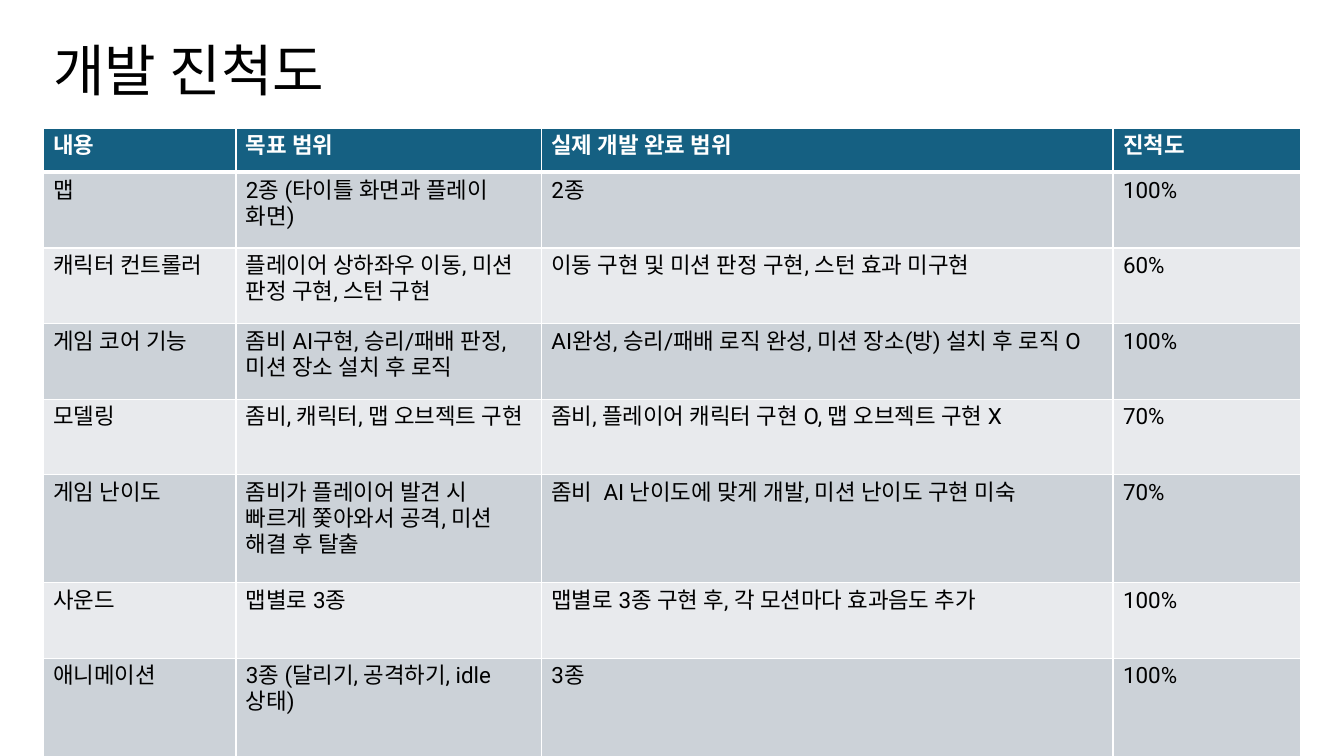
from lxml import etree
from pptx import Presentation
from pptx.dml.color import RGBColor
from pptx.enum.lang import MSO_LANGUAGE_ID as Language
from pptx.enum.text import MSO_ANCHOR as Anchor
from pptx.oxml.ns import qn
from pptx.util import Inches, Pt

# Content
TITLE = "개발 진척도"
HEADER = ("내용", "목표 범위", "실제 개발 완료 범위", "진척도")
PROGRESS = [
    ("맵", "2종 (타이틀 화면과 플레이 화면)", "2종", "100%"),
    ("캐릭터 컨트롤러", "플레이어 상하좌우 이동, 미션 판정 구현, 스턴 구현",
     "이동 구현 및 미션 판정 구현, 스턴 효과 미구현", "60%"),
    ("게임 코어 기능", "좀비 AI구현, 승리/패배 판정, 미션 장소 설치 후 로직",
     "AI완성, 승리/패배 로직 완성, 미션 장소(방) 설치 후 로직 O", "100%"),
    ("모델링", "좀비, 캐릭터, 맵 오브젝트 구현",
     "좀비, 플레이어 캐릭터 구현 O, 맵 오브젝트 구현 X", "70%"),
    ("게임 난이도", "좀비가 플레이어 발견 시 빠르게 쫓아와서 공격, 미션 해결 후 탈출",
     "좀비  AI 난이도에 맞게 개발, 미션 난이도 구현 미숙", "70%"),
    ("사운드", "맵별로 3종", "맵별로 3종 구현 후, 각 모션마다 효과음도 추가", "100%"),
    ("애니메이션", "3종 (달리기, 공격하기, idle상태)", "3종", "100%"),
]

# Format
COLORS = {"header": "156082", "odd": "CCD2D8", "even": "E8EAED",
          "light": "FFFFFF", "dark": "000000"}
FONT = "Roboto"
LEFT, TABLE_TOP = 0.43, 1.27
COLUMNS = (1.91, 3.03, 5.67, 1.86)
ROWS = (0.44, 0.75, 0.75, 0.75, 0.75, 1.07, 0.75, 0.98)
BORDERS = ("lnL", "lnR", "lnT", "lnB")
TITLE_STYLE = {"size": Pt(40), "bold": False}
HEADER_STYLE = {"size": Pt(16), "bold": True}
BODY_STYLE = {"size": Pt(16), "bold": False}


def write(frame, text, style, color):
    para = frame.paragraphs[0]
    span = para.add_run()
    span.text = text
    settings = {"name": FONT, "language_id": Language.KOREAN, **style}
    for name, value in settings.items():
        setattr(span.font, name, value)
    span.font.color.rgb = RGBColor.from_string(COLORS[color])
    latin = span.font._element.find(qn("a:latin"))
    latin.addnext(latin.makeelement(qn("a:ea"), {"typeface": FONT}))
    return para


def draw_borders(cell, widths):
    properties = cell._tc.get_or_add_tcPr()
    for index, (side, width) in enumerate(zip(BORDERS, widths)):
        line = etree.Element(qn(f"a:{side}"), w=str(Pt(width)))
        fill = etree.SubElement(line, qn("a:solidFill"))
        etree.SubElement(fill, qn("a:srgbClr"), val=COLORS["light"])
        properties.insert(index, line)


deck = Presentation()
deck.slide_width, deck.slide_height = Inches(13.33), Inches(7.5)
page = deck.slides.add_slide(deck.slide_layouts[6])

# Title
box = page.shapes.add_textbox(Inches(LEFT), 0, Inches(11.5), Inches(1.45))
box.text_frame.word_wrap = True
box.text_frame.vertical_anchor = Anchor.MIDDLE
write(box.text_frame, TITLE, TITLE_STYLE, "dark").line_spacing = 0.9

# Progress table
records = [HEADER, *PROGRESS]
table = page.shapes.add_table(
    len(records), len(COLUMNS), Inches(LEFT), Inches(TABLE_TOP),
    Inches(sum(COLUMNS)), Inches(sum(ROWS))).table
for column, width in zip(table.columns, COLUMNS):
    column.width = Inches(width)
for row, height in zip(table.rows, ROWS):
    row.height = Inches(height)

for number, record in enumerate(records):
    is_header = number == 0
    band = "header" if is_header else ("even", "odd")[number % 2]
    style = HEADER_STYLE if is_header else BODY_STYLE
    top, bottom = 3 if number == 1 else 1, 3 if is_header else 1
    for position, text in enumerate(record):
        cell = table.cell(number, position)
        cell.fill.solid()
        cell.fill.fore_color.rgb = RGBColor.from_string(COLORS[band])
        draw_borders(cell, (1, 1, top, bottom))
        write(cell.text_frame, text, style, "light" if is_header else "dark")

deck.save("out.pptx")
